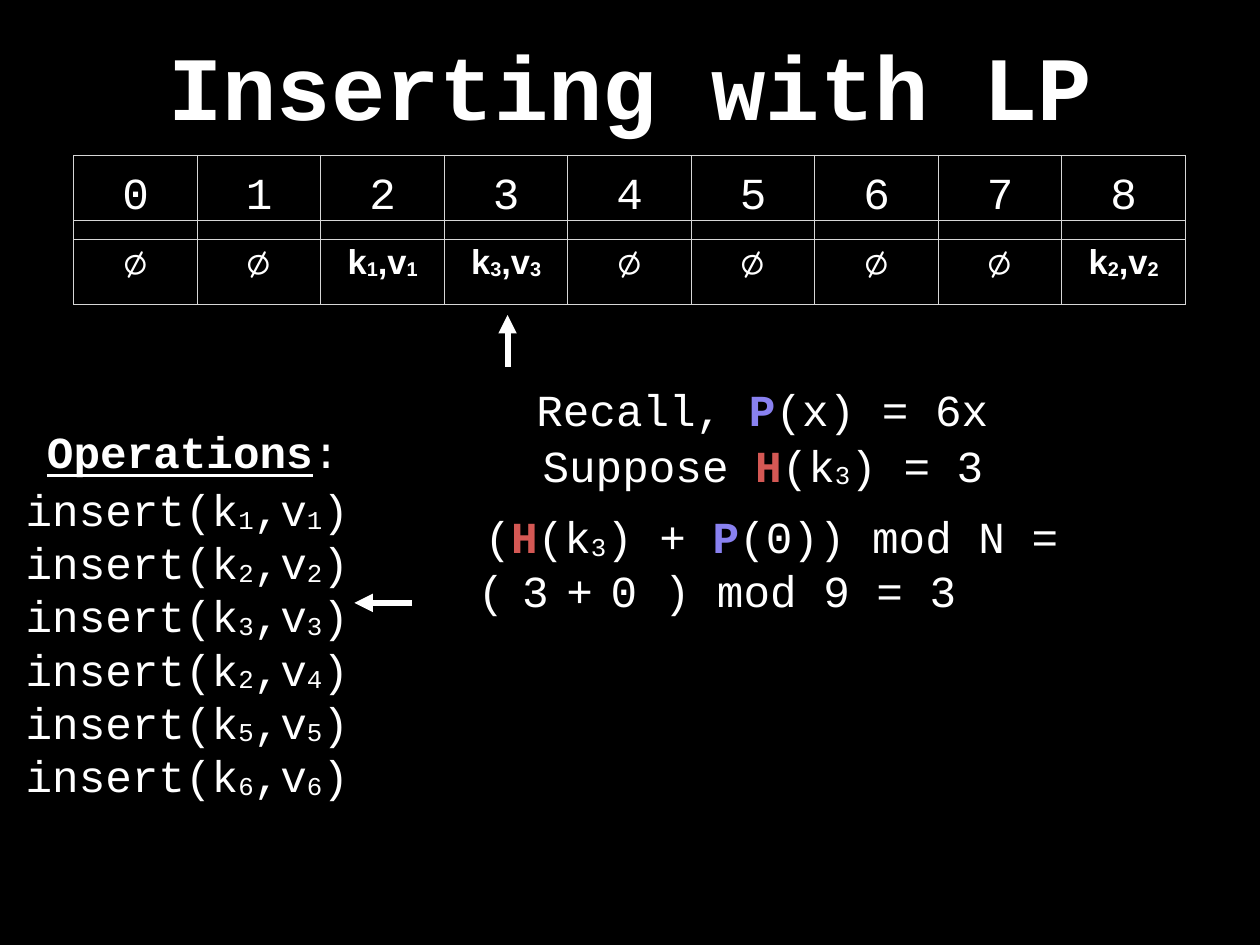
from lxml.etree import SubElement
from pptx import Presentation
from pptx.dml.color import RGBColor
from pptx.enum.shapes import MSO_CONNECTOR
from pptx.enum.text import MSO_ANCHOR, MSO_AUTO_SIZE, PP_ALIGN
from pptx.oxml.ns import qn
from pptx.util import Emu, Pt

WIDTH, HEIGHT = Pt(1024), Pt(768)
COLUMNS, ROWS = 1024, 768
WHITE, BLACK, GRID_LINE = "FFFFFF", "000000", "D6D6D6"
HASH, PROBE = {"color": "D45854", "bold": True}, {"color": "8981F0", "bold": True}
SUBSCRIPT = {"subscript": True}
CELL_PAIR = {"font": "Arial", "size": 28, "bold": True}
EMPTY = [("∅", {})]


def color_of(value):
    """Return the colour for a hex string."""
    return RGBColor.from_string(value)


def across(columns):
    """Return a length of so many grid columns."""
    return Emu(int(WIDTH * columns / COLUMNS))


def down(rows):
    """Return a length of so many grid rows."""
    return Emu(int(HEIGHT * rows / ROWS))


def write(paragraph, text, font="Courier New", size=36, color=WHITE, bold=False,
          underline=False, subscript=False):
    """Add one formatted run to a paragraph."""
    run = paragraph.add_run()
    run.text = text
    run.font.name = font
    run.font.size = Pt(size)
    run.font.bold = bold
    run.font.underline = underline
    run.font.color.rgb = color_of(color)
    if subscript:
        run._r.get_or_add_rPr().set("baseline", "-6000")


def pair(key, value, **style):
    """Return the runs of a key and value pair with subscripts."""
    return [("k", style), (key, style | SUBSCRIPT), (",v", style), (value, style | SUBSCRIPT)]


class SlideBuilder:
    """Holds the shared style and the current slide."""

    def __init__(self, presentation):
        """Add a black slide with a title and a body."""
        self.slide = presentation.slides.add_slide(presentation.slide_layouts[1])
        self.slide.background.fill.solid()
        self.slide.background.fill.fore_color.rgb = color_of(BLACK)

    def fill_text(self, shape, box, lines, align=PP_ALIGN.LEFT, size=36, spacing=None, tabs=()):
        """Place a text shape and write its lines of runs."""
        left, top, width, height = box
        shape.left, shape.top = across(left), down(top)
        shape.width, shape.height = across(width), down(height)
        frame = shape.text_frame
        frame.word_wrap = True
        frame.auto_size = MSO_AUTO_SIZE.NONE
        frame.vertical_anchor = MSO_ANCHOR.TOP
        frame.margin_left = frame.margin_right = across(4.3)
        frame.margin_top, frame.margin_bottom = down(size / 4), 0
        for index, runs in enumerate(lines):
            paragraph = frame.add_paragraph() if index else frame.paragraphs[0]
            properties = paragraph._p.get_or_add_pPr()
            properties.set("marL", "0")
            properties.set("indent", "0")
            SubElement(properties, qn("a:buNone"))
            if tabs:
                stops = SubElement(properties, qn("a:tabLst"))
                for stop in tabs:
                    SubElement(stops, qn("a:tab"), pos=str(across(stop)), algn="l")
            paragraph.alignment = align
            paragraph.space_before = Pt(0)
            if spacing:
                paragraph.line_spacing = Pt(spacing)
            for text, style in runs:
                write(paragraph, text, **({"size": size} | style))

    def title(self, box, text, size):
        """Fill the title placeholder."""
        self.fill_text(self.slide.shapes.title, box, [[(text, {"bold": True})]],
                       align=PP_ALIGN.CENTER, size=size)

    def body(self, box, lines):
        """Fill the body placeholder with a plain list."""
        self.fill_text(self.slide.placeholders[1], box, lines, spacing=43.2)

    def label(self, box, runs, **layout):
        """Add a text box with one line."""
        shape = self.slide.shapes.add_textbox(0, 0, 0, 0)
        self.fill_text(shape, box, [runs], **layout)

    def table_row(self, top, cells, left=60, column=100.4, height=68.5):
        """Add a table of one row with thin borders and no fill."""
        frame = self.slide.shapes.add_table(1, len(cells), across(left), down(top),
                                            across(column * len(cells)), down(height))
        table = frame.table
        table.first_row = table.horz_banding = False
        for index, runs in enumerate(cells):
            table.columns[index].width = across(column)
            cell = table.cell(0, index)
            cell.margin_left = cell.margin_right = across(4.3)
            cell.margin_top = cell.margin_bottom = down(4.3)
            cell.vertical_anchor = MSO_ANCHOR.MIDDLE
            properties = cell._tc.get_or_add_tcPr()
            for side in ("a:lnL", "a:lnR", "a:lnT", "a:lnB"):
                border = SubElement(properties, qn(side), w=str(Pt(1)))
                SubElement(SubElement(border, qn("a:solidFill")), qn("a:srgbClr"), val=GRID_LINE)
            cell.fill.background()
            paragraph = cell.text_frame.paragraphs[0]
            paragraph.alignment = PP_ALIGN.CENTER
            for text, style in runs:
                write(paragraph, text, **style)

    def arrow(self, start, end):
        """Add a thick white arrow."""
        connector = self.slide.shapes.add_connector(
            MSO_CONNECTOR.STRAIGHT, across(start[0]), down(start[1]), across(end[0]), down(end[1]))
        connector.line.color.rgb = color_of(WHITE)
        connector.line.width = Pt(5)
        SubElement(connector.line._get_or_add_ln(), qn("a:tailEnd"), type="triangle")
        SubElement(connector._element.spPr, qn("a:effectLst"))


def main():
    """Build the slide and save it."""
    presentation = Presentation()
    presentation.slide_width, presentation.slide_height = WIDTH, HEIGHT
    builder = SlideBuilder(presentation)
    builder.title((0, 6, 1024, 94), "Inserting with LP", 73.6)

    stored = {2: ("1", "1"), 3: ("3", "3"), 8: ("2", "2")}
    slots = range(9)
    builder.table_row(179, [pair(*stored[slot], **CELL_PAIR) if slot in stored else EMPTY
                            for slot in slots])
    builder.table_row(126.5, [[(str(slot), {})] for slot in slots])
    builder.arrow((412.5, 298), (412.5, 256))

    builder.label((33, 336, 248, 50), [("Operations", {"bold": True, "underline": True}),
                                       (":", {})], align=PP_ALIGN.CENTER)
    operations = ["11", "22", "33", "24", "55", "66"]
    builder.body((16.5, 383, 298, 270), [[("insert(", {}), *pair(key, value), (")", {})]
                                         for key, value in operations])
    builder.arrow((335, 490), (288, 490))

    builder.label((431, 302, 377, 50), [("Recall, ", {}), ("P", PROBE), ("(x) = 6x", {})],
                  align=PP_ALIGN.CENTER)
    hashed_key = [("H", HASH), ("(k", {}), ("3", SUBSCRIPT)]
    builder.label((435, 347, 370, 50), [("Suppose ", {}), *hashed_key, (") = 3", {})],
                  align=PP_ALIGN.CENTER)
    builder.label((389.5, 405, 500, 50), [("(", {}), *hashed_key, (") + ", {}), ("P", PROBE),
                                          ("(0)) mod N =", {})])
    character = 21.6
    builder.label((384, 449, 545, 50), [("(\t3\t+\t0 ) mod 9 = 3", {})],
                  tabs=[character * position for position in (4, 8, 11)])
    presentation.save("out.pptx")


if __name__ == "__main__":
    main()
